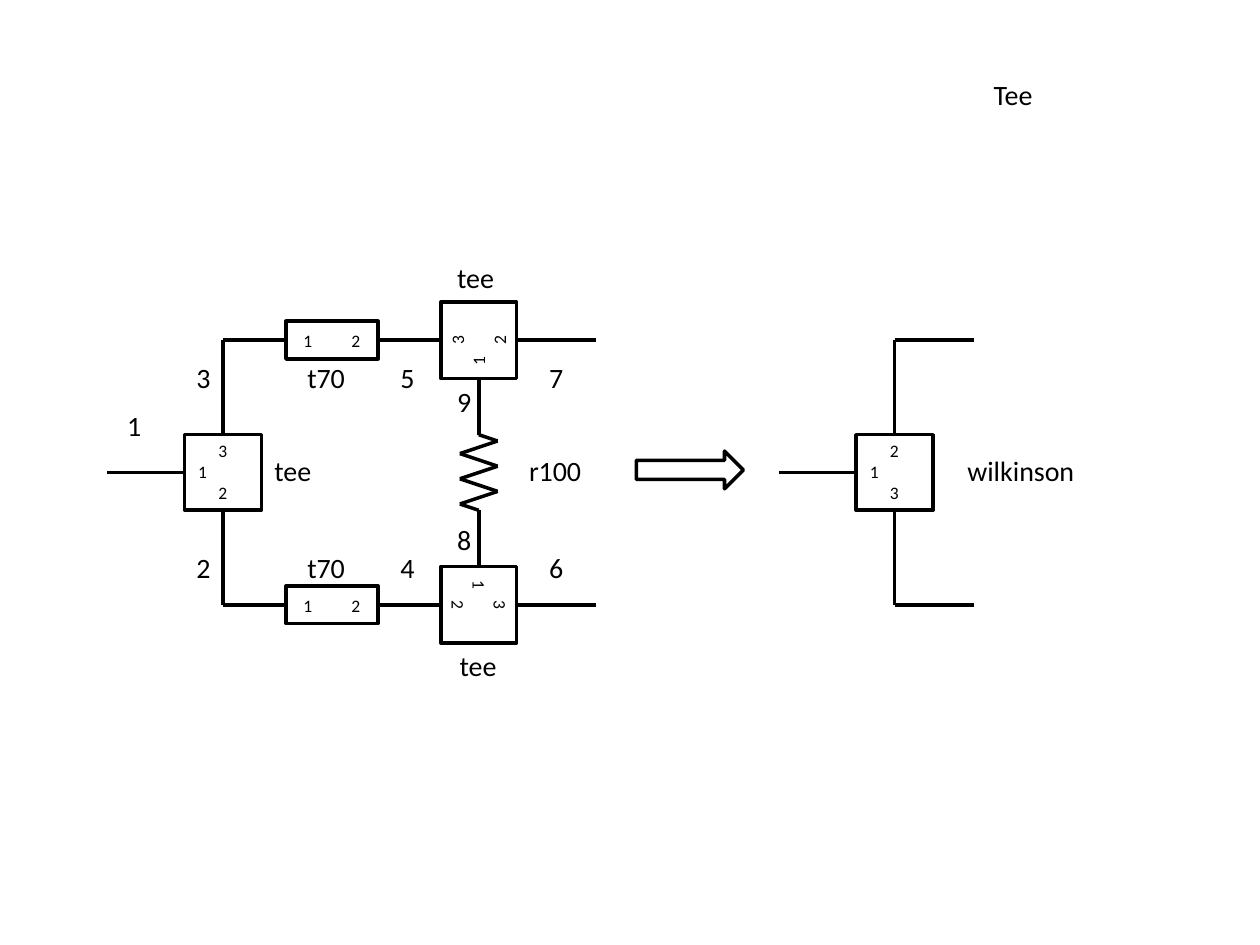
from itertools import pairwise
from math import cos, radians, sin

from lxml.etree import SubElement
from pptx import Presentation
from pptx.dml.color import RGBColor
from pptx.enum.shapes import MSO_CONNECTOR, MSO_SHAPE
from pptx.enum.text import MSO_ANCHOR, PP_ALIGN
from pptx.oxml.ns import qn
from pptx.util import Inches, Pt

COLORS = {"ink": "000000"}
FONT = "Calibri"
TOP, MIDDLE, BOTTOM = 2.7, 3.75, 4.8
SPLIT_X, RESISTOR_X, WILKINSON_X = 1.77, 3.8, 7.1
TEE_W, TEE_H = 0.61, 0.6
LINE_W, LINE_H = 0.73, 0.3
LABEL_H = 0.37


def ink():
    return RGBColor.from_string(COLORS["ink"])


def add_wire(slide, *points):
    """Joins the points with straight segments."""
    for (x1, y1), (x2, y2) in pairwise(points):
        wire = slide.shapes.add_connector(
            MSO_CONNECTOR.STRAIGHT, Inches(x1), Inches(y1), Inches(x2), Inches(y2))
        wire.line.color.rgb = ink()
        wire.line.width = Pt(2)
        SubElement(wire.line._get_or_add_ln().getparent(), qn("a:effectLst"))


def add_outline(slide, kind, left, top, width, height, rotation=0):
    outline = slide.shapes.add_shape(
        kind, Inches(left), Inches(top), Inches(width), Inches(height))
    outline.rotation = rotation
    outline.shadow.inherit = False
    outline.fill.background()
    outline.line.color.rgb = ink()
    outline.line.width = Pt(2)


def add_label(slide, text, left, top, width, height=LABEL_H, size=16):
    label = slide.shapes.add_textbox(
        Inches(left), Inches(top), Inches(width), Inches(height))
    frame = label.text_frame
    frame.word_wrap = False
    frame.text = text
    for paragraph in frame.paragraphs:
        for run in paragraph.runs:
            run.font.name = FONT
            run.font.size = Pt(size)
            run.font.color.rgb = ink()
    return label


def add_title(slide, text):
    frame = add_label(slide, text, 6.58, 0.3, 2.92, 0.9).text_frame
    frame.word_wrap = True
    frame.vertical_anchor = MSO_ANCHOR.MIDDLE
    frame.paragraphs[0].alignment = PP_ALIGN.CENTER


def add_tee(slide, x, y, pins, rotation=0):
    """Three-port box; the pin numbers sit off centre and turn with the box."""
    add_outline(slide, MSO_SHAPE.RECTANGLE, x - TEE_W / 2, y - TEE_H / 2,
                TEE_W, TEE_H, rotation)
    offset, width, height = -0.08, 0.43, 0.61
    pin_x = x + offset * cos(radians(rotation))
    pin_y = y + offset * sin(radians(rotation))
    numbers = add_label(slide, "\n".join(pins), pin_x - width / 2,
                        pin_y - height / 2, width, height, 10)
    numbers.rotation = rotation
    frame = numbers.text_frame
    frame.word_wrap = True
    frame.margin_right = 0
    for paragraph in frame.paragraphs[::2]:
        paragraph._p.get_or_add_pPr().set("marL", str(Inches(0.16)))


def add_line_section(slide, left, y):
    """Two-port transmission line with its pin numbers."""
    add_outline(slide, MSO_SHAPE.RECTANGLE, left, y - LINE_H / 2, LINE_W, LINE_H)
    frame = add_label(slide, "1\t2", left + 0.04, y - 0.13, 0.66, 0.27, 10).text_frame
    frame.word_wrap = True
    frame.margin_right = 0
    stops = SubElement(frame.paragraphs[0]._p.get_or_add_pPr(), qn("a:tabLst"))
    SubElement(stops, qn("a:tab"), pos=str(Inches(0.38)), algn="l")


def add_resistor(slide, x, top):
    swing = 0.15
    zigzag = [(x + swing * (1 if i % 2 == 0 else -1), top + 0.05 + 0.1 * i)
              for i in range(6)]
    add_wire(slide, (x, top), *zigzag, (x, top + TEE_H))


def add_three_port(slide, x, pins, branch):
    """Upright tee with its input wire and both branches of the given length."""
    half = TEE_H / 2
    add_wire(slide, (x - 0.92, MIDDLE), (x - TEE_W / 2, MIDDLE))
    for y, side in ((TOP, -1), (BOTTOM, 1)):
        add_wire(slide, (x, MIDDLE + side * half), (x, y), (x + branch, y))
    add_tee(slide, x, MIDDLE, pins)


def add_divider(slide):
    line_left = SPLIT_X + 0.5
    tee_left, tee_right = RESISTOR_X - 0.3, RESISTOR_X + 0.3
    half = TEE_H / 2

    add_three_port(slide, SPLIT_X, "312", line_left - SPLIT_X)
    for y, side, rotation in ((TOP, 1, 270), (BOTTOM, -1, 90)):
        add_line_section(slide, line_left, y)
        add_wire(slide, (line_left + LINE_W, y), (tee_left, y))
        add_tee(slide, RESISTOR_X, y, "312", rotation)
        add_wire(slide, (tee_right, y), (4.73, y))
        add_wire(slide, (RESISTOR_X, y + side * half),
                 (RESISTOR_X, MIDDLE - side * half))
    add_resistor(slide, RESISTOR_X, MIDDLE - half)


def add_divider_labels(slide):
    for top, nodes in ((2.81, "357"), (4.32, "246")):
        for left, node in zip((1.46, 3.08, 4.26), nodes):
            add_label(slide, node, left, top, 0.32)
        add_label(slide, "t70", 2.34, top, 0.51)
    for node, left, top in (("1", 0.91, 3.19), ("9", 3.53, 3), ("8", 3.53, 4.1)):
        add_label(slide, node, left, top, 0.32)
    for left, top in ((3.53, 2.02), (3.55, 5.1), (2.08, 3.55)):
        add_label(slide, "tee", left, top, 0.5)
    add_label(slide, "r100", 4.1, 3.55, 0.62)


def main():
    deck = Presentation()
    deck.slide_width, deck.slide_height = Inches(10), Inches(7.5)
    slide = deck.slides.add_slide(deck.slide_layouts[6])

    add_title(slide, "Tee")
    add_divider(slide)
    add_divider_labels(slide)
    add_outline(slide, MSO_SHAPE.RIGHT_ARROW, 5.05, 3.58, 0.85, 0.3)
    add_three_port(slide, WILKINSON_X, "213", 0.63)
    add_label(slide, "wilkinson", 7.58, 3.55, 1.06)

    deck.save("out.pptx")


if __name__ == "__main__":
    main()
